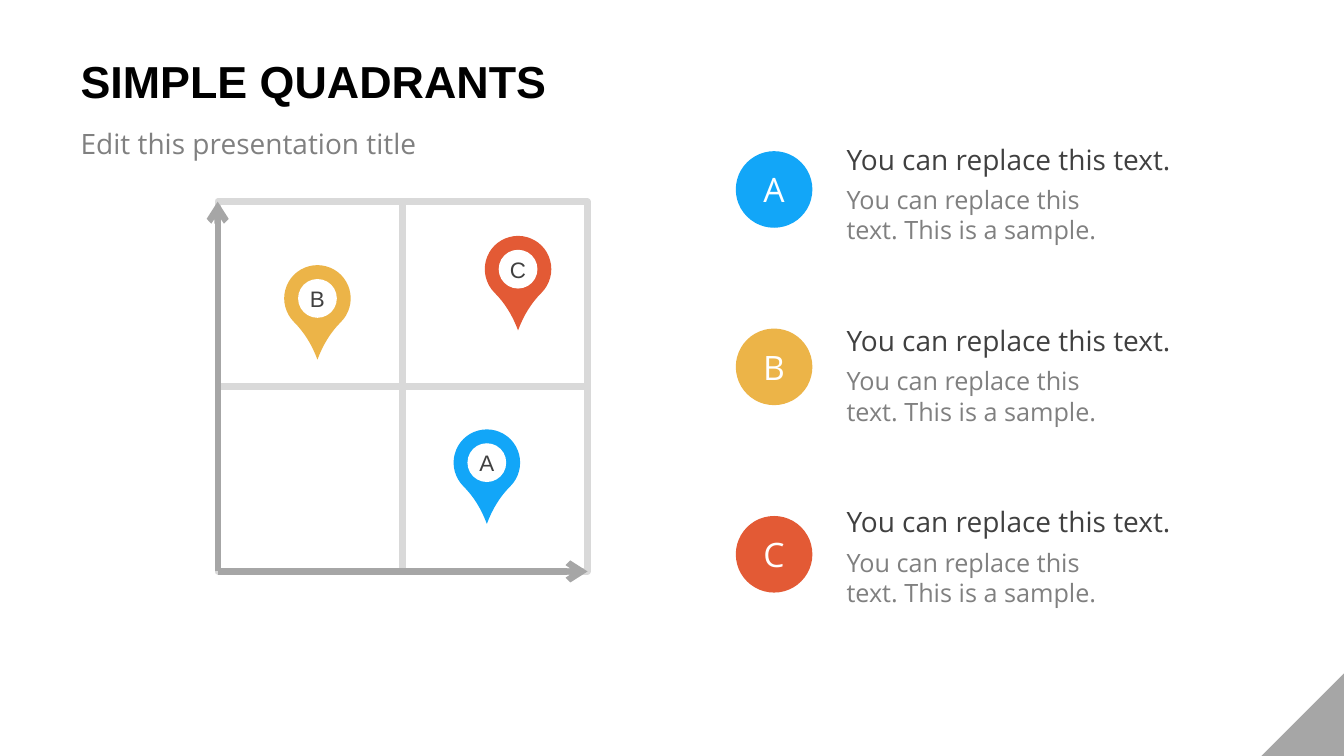
"""Build the simple quadrants slide with lettered pins and a legend."""
from lxml.etree import SubElement
from pptx import Presentation
from pptx.dml.color import RGBColor
from pptx.enum.shapes import MSO_CONNECTOR, MSO_SHAPE as SHAPE
from pptx.enum.text import MSO_ANCHOR as ANCHOR, MSO_AUTO_SIZE as AUTO, PP_ALIGN as ALIGN
from pptx.oxml.ns import qn
from pptx.util import Pt

TITLE = "SIMPLE QUADRANTS"
SUBTITLE = "Edit this presentation title"
HEADING = "You can replace this text."
DETAIL = "You can replace this text. This is a sample."
BLUE, GOLD, RED = "12A6F8", "ECB448", "E35A35"
WHITE, BLACK, DARK, MID = "FFFFFF", "000000", "404040", "808080"
AXIS, GRID = "A6A6A6", "D9D9D9"

PINS = [("B", GOLD, 203, 189.4), ("C", RED, 346.3, 168.5), ("A", BLUE, 324, 306.7)]
LEGEND = [("A", BLUE, 108), ("B", GOLD, 234.7), ("C", RED, 368.6)]

LEFT, TOP, SIDE = 155.5, 144, 264.2
PIN, HOLE = 47.5, 27.7
BADGE_X, BADGE = 525.6, 54.7
TEXT_X, TEXT_TOP, TEXT_STEP = 597.6, 97.9, 129.6
CORNER = 59


def rgb(color):
    return RGBColor.from_string(color)


def write(shape, text, size, color, font="Open Sans", align=ALIGN.LEFT, bold=False):
    tf = shape.text_frame
    tf.text = text
    p = tf.paragraphs[0]
    p.alignment = align
    f = p.runs[0].font
    f.name, f.size, f.bold = font, Pt(size), bold
    f.color.rgb = rgb(color)
    return tf


def add_shape(s, kind, x, y, w, h, fill):
    sp = s.shapes.add_shape(kind, Pt(x), Pt(y), Pt(w), Pt(h))
    sp.shadow.inherit = False
    sp.line.fill.background()
    sp.fill.solid()
    sp.fill.fore_color.rgb = rgb(fill)
    return sp


def add_circle(s, x, y, size, fill, letter, pts, color, font="Open Sans"):
    sp = add_shape(s, SHAPE.OVAL, x, y, size, size, fill)
    tf = write(sp, letter, pts, color, font, ALIGN.CENTER)
    tf.margin_left = tf.margin_right = tf.margin_top = tf.margin_bottom = 0
    tf.vertical_anchor = ANCHOR.MIDDLE
    tf.word_wrap = False


def add_line(s, x1, y1, x2, y2, color, arrow=False):
    c = s.shapes.add_connector(MSO_CONNECTOR.STRAIGHT, Pt(x1), Pt(y1), Pt(x2), Pt(y2))
    c.line.width = Pt(4.5)
    c.line.color.rgb = rgb(color)
    if arrow:
        SubElement(c.line._get_or_add_ln(), qn("a:tailEnd"), type="arrow")
    SubElement(c._element.spPr, qn("a:effectLst"))


def add_text(s, x, y, w, h, text, size, color, wrap):
    tb = s.shapes.add_textbox(Pt(x), Pt(y), Pt(w), Pt(h))
    write(tb, text, size, color).word_wrap = wrap


def fill_placeholder(sp, x, y, w, h, text, size, color, font, bold, anchor):
    sp.left, sp.top, sp.width, sp.height = Pt(x), Pt(y), Pt(w), Pt(h)
    tf = write(sp, text, size, color, font, bold=bold)
    tf.auto_size = AUTO.NONE
    tf.vertical_anchor = anchor
    tf.margin_left = tf.margin_right = Pt(9.6)
    tf.margin_top = tf.margin_bottom = Pt(4.8)
    pPr = tf.paragraphs[0]._p.get_or_add_pPr()
    pPr.set("marL", "0")
    pPr.set("indent", "0")
    tf.paragraphs[0].space_before = Pt(0)
    SubElement(pPr, qn("a:buNone"))


def add_quadrants(s):
    right, bottom = LEFT + SIDE, TOP + SIDE
    mid_x, mid_y = LEFT + SIDE / 2, TOP + SIDE / 2
    frame = add_shape(s, SHAPE.RECTANGLE, LEFT, TOP, SIDE, SIDE, WHITE)
    frame.fill.background()
    frame.line.color.rgb = rgb(GRID)
    frame.line.width = Pt(4.5)
    add_line(s, mid_x, TOP, mid_x, bottom, GRID)
    add_line(s, right, mid_y, LEFT, mid_y, GRID)
    add_line(s, LEFT, bottom, right, bottom, AXIS, arrow=True)
    add_line(s, LEFT, bottom, LEFT, TOP, AXIS, arrow=True)


def main():
    prs = Presentation()
    prs.slide_width, prs.slide_height = Pt(960), Pt(540)
    s = prs.slides.add_slide(prs.slide_layouts[1])
    fill_placeholder(s.shapes.title, 48, 29.5, 612, 56, TITLE, 32, BLACK, "Arial", True, ANCHOR.MIDDLE)
    fill_placeholder(s.placeholders[1], 48, 85.7, 312, 40, SUBTITLE, 20, MID, "Open Sans", False, ANCHOR.TOP)

    corner = add_shape(s, SHAPE.RIGHT_TRIANGLE, 960 - CORNER, 540 - CORNER, CORNER, CORNER, AXIS)
    corner.rotation = 270
    add_quadrants(s)

    inset = (PIN - HOLE) / 2
    for letter, color, x, y in PINS:
        drop = add_shape(s, SHAPE.TEAR, x, y, PIN, PIN, color)
        drop.adjustments[0] = 1.303
        drop.rotation = 135
        add_circle(s, x + inset, y + inset, HOLE, WHITE, letter, 16, DARK, "Arial")

    for i, (letter, color, y) in enumerate(LEGEND):
        top = TEXT_TOP + i * TEXT_STEP
        add_text(s, TEXT_X, top + 30.2, 218.9, 51, DETAIL, 18, MID, True)
        add_text(s, TEXT_X, top, 247.7, 31.7, HEADING, 20, DARK, False)
        add_circle(s, BADGE_X, y, BADGE, color, letter, 24, WHITE)
    prs.save("out.pptx")


if __name__ == "__main__":
    main()
